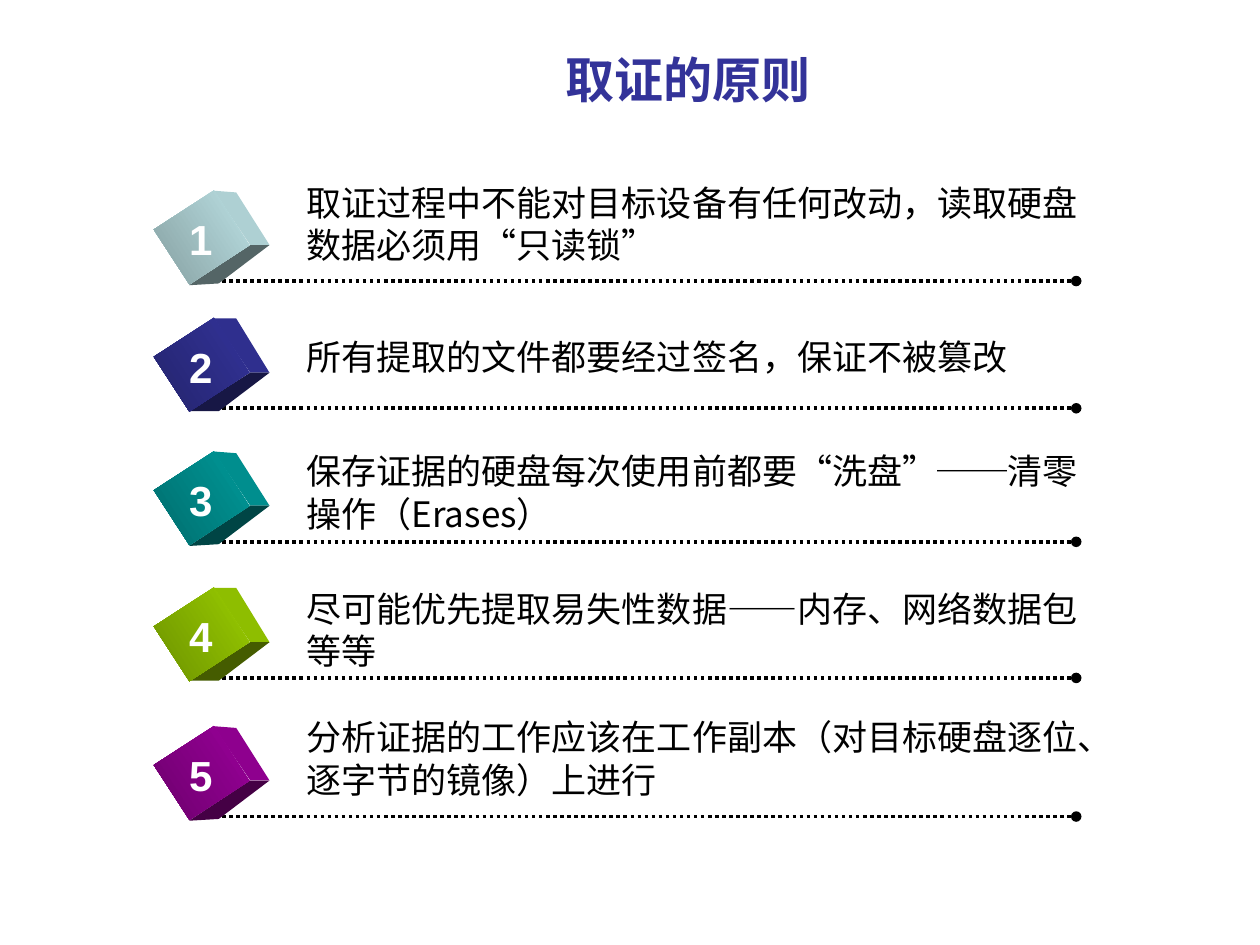
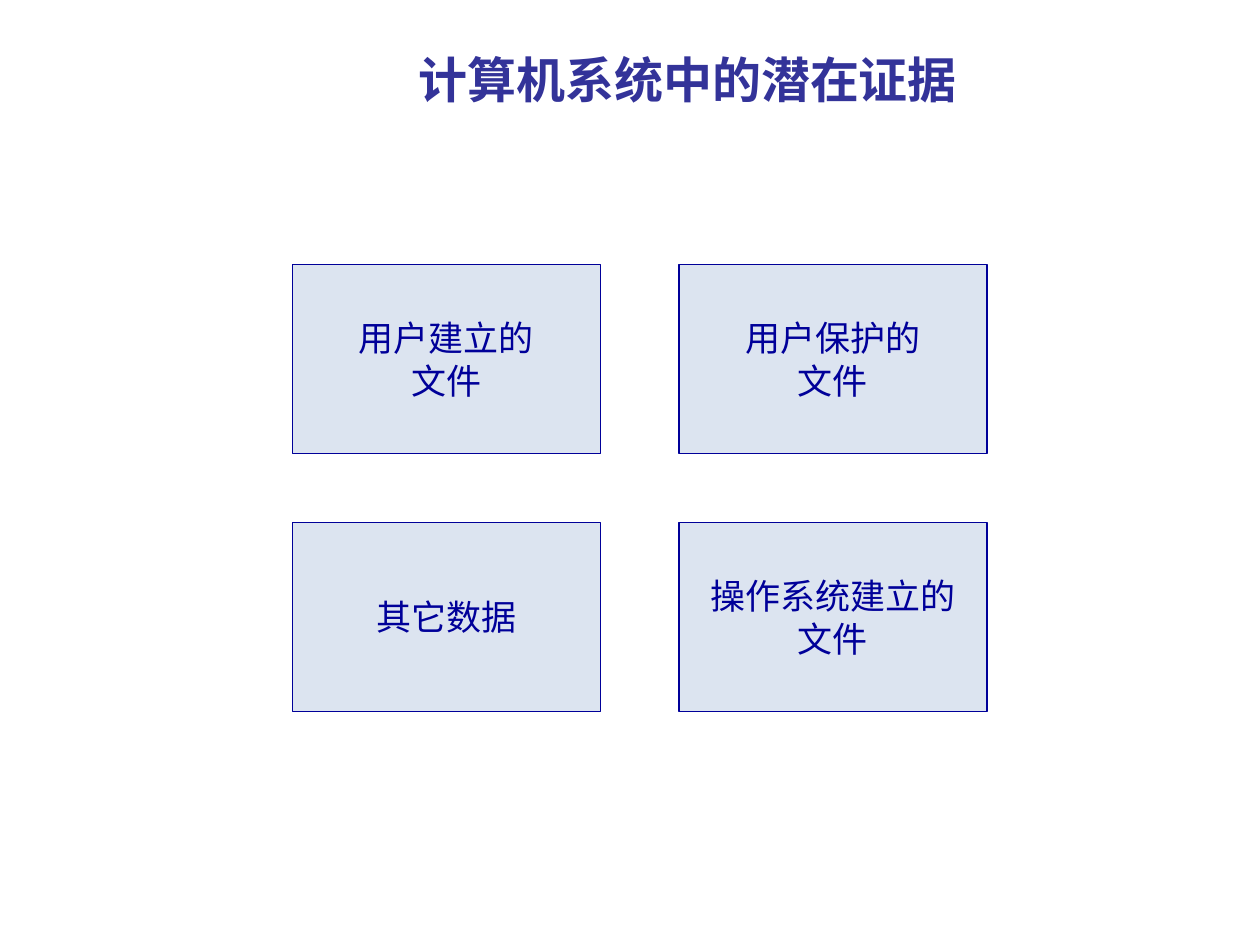
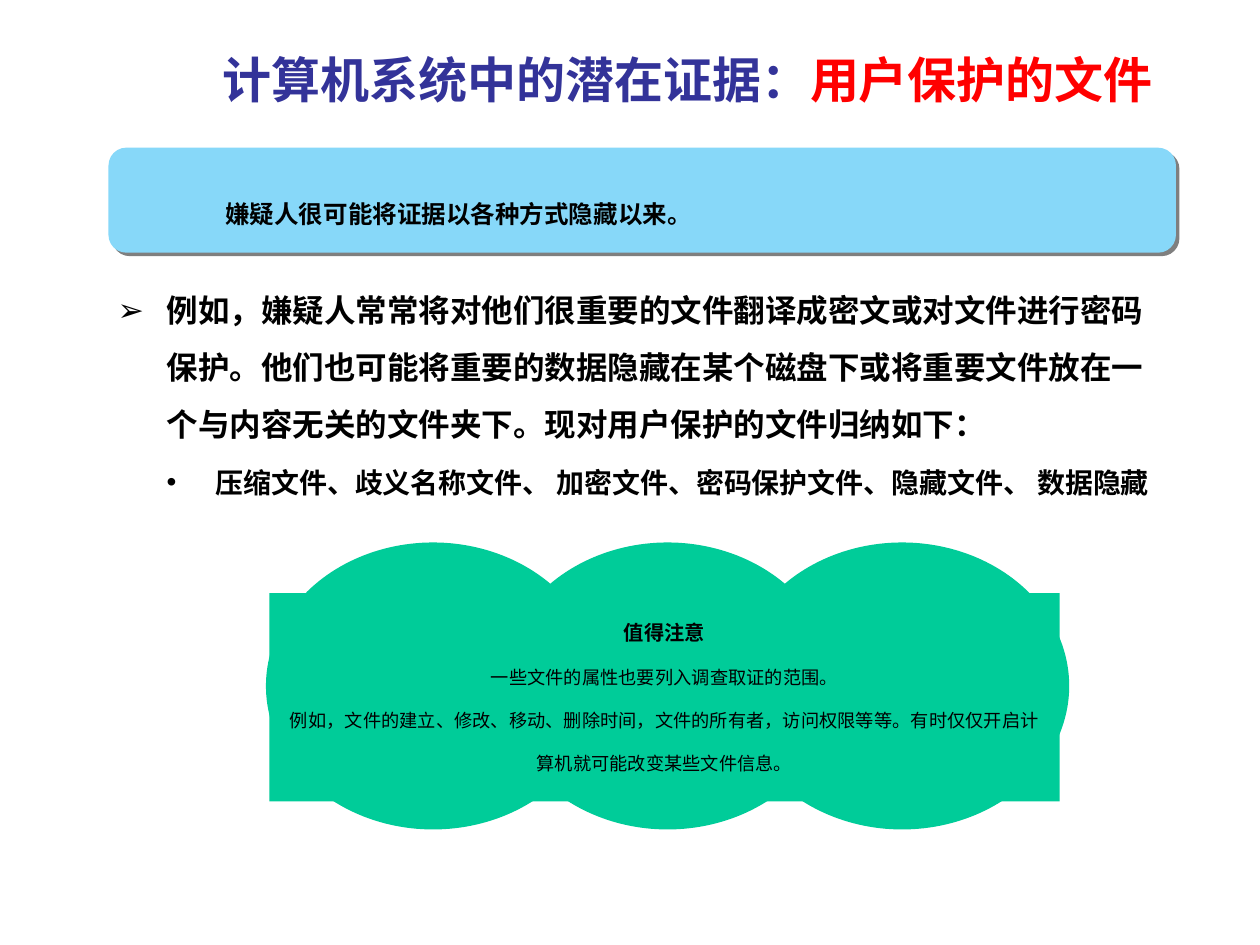
from pptx import Presentation
from pptx.dml.color import RGBColor
from pptx.enum.dml import MSO_LINE
from pptx.enum.shapes import MSO_CONNECTOR, MSO_SHAPE
from pptx.enum.text import MSO_ANCHOR, MSO_AUTO_SIZE, PP_ALIGN
from pptx.oxml import parse_xml
from pptx.oxml.ns import nsdecls, qn
from pptx.util import Pt
from lxml.etree import SubElement
from math import cos, radians, sin

CHINESE_FONT = "Noto Sans CJK SC"
TITLE_COLOR = "333399"
BLACK = "000000"
WHITE = "FFFFFF"
RED = "FF0000"
BOX_FILL = "DCE4F0"
BOX_LINE = "000099"
BANNER_FILL = "87D8F9"
CLOUD_FILL = "00CC99"

CUBE_WIDTH, CUBE_HEIGHT, CUBE_ROTATION = 37.4, 41, 57
CUBE_CENTER_X = 115.2

PRINCIPLES = [
    (160.6, 100, 458, "BBE0E3", "86A0A2", "取证过程中不能对目标设备有任何改动，读取硬盘数据必须用“只读锁”"),
    (233.3, 188, 458, "333399", "24246D", "所有提取的文件都要经过签名，保证不被篡改"),
    (309.6, 253.4, 458, "009999", "006D6D", "保存证据的硬盘每次使用前都要“洗盘”──清零操作（Erases）"),
    (387.4, 332, 464, "99CC00", "6D9200", "尽可能优先提取易失性数据——内存、网络数据包等等"),
    (466.6, 405.4, 475, "990099", "6D006D", "分析证据的工作应该在工作副本（对目标硬盘逐位、逐字节的镜像）上进行"),
]
EVIDENCE_GRID = [
    [["用户建立的", "文件"], ["用户保护的", "文件"]],
    [["其它数据"], ["操作系统建立的", "文件"]],
]


def color(value):
    return RGBColor.from_string(value)


def shade(value, factor):
    channels = bytes.fromhex(value)
    return "".join(f"{round(channel * factor):02X}" for channel in channels)


def shadow_effect(value, alpha, distance):
    return parse_xml(
        f'<a:outerShdw {nsdecls("a")} dist="{Pt(distance)}" dir="2700000">'
        f'<a:srgbClr val="{value}"><a:alpha val="{alpha * 1000}"/></a:srgbClr></a:outerShdw>'
    )


def write(frame, text, size=20, fill=BLACK, font=CHINESE_FONT, bold=False, align=None,
          line_height=None, before=None, bullet=None, level=0, shadow=False, paragraph=None):
    if paragraph is None:
        paragraph = frame.add_paragraph() if frame.text else frame.paragraphs[0]
        paragraph.level = level
        if bullet:
            properties = paragraph._p.get_or_add_pPr()
            properties.set("marL", str(Pt(28 * (level + 1))))
            properties.set("indent", str(-Pt(28)))
            SubElement(properties, qn("a:buFont"), typeface="Arial")
            SubElement(properties, qn("a:buChar"), char=bullet)
        paragraph.alignment = align
        if line_height:
            paragraph.line_spacing = Pt(line_height)
        if before is not None:
            paragraph.space_before = Pt(before)
    run = paragraph.add_run()
    run.text = text
    run.font.size = Pt(size)
    run.font.bold = bold
    run.font.color.rgb = color(fill)
    properties = run._r.get_or_add_rPr()
    if shadow:
        SubElement(properties, qn("a:effectLst")).append(shadow_effect("C0C0C0", 100, 1.5))
    run.font.name = font
    SubElement(properties, qn("a:ea"), typeface=CHINESE_FONT)
    return paragraph


def add_slide(presentation, layout, *title_parts):
    slide = presentation.slides.add_slide(presentation.slide_layouts[layout])
    title = slide.shapes.title
    title.left, title.top, title.width, title.height = Pt(114), Pt(18), Pt(558), Pt(54)
    title.text_frame.vertical_anchor = MSO_ANCHOR.MIDDLE
    paragraph = None
    for text, fill in title_parts:
        paragraph = write(title.text_frame, text, size=28, fill=fill, font="Times New Roman",
                          bold=True, align=PP_ALIGN.CENTER, shadow=True, paragraph=paragraph)
    return slide


def add_box(slide, kind, left, top, width, height, fill, line=None):
    shape = slide.shapes.add_shape(kind, Pt(left), Pt(top), Pt(width), Pt(height))
    shape.shadow.inherit = False
    shape.fill.solid()
    shape.fill.fore_color.rgb = color(fill)
    if line:
        shape.line.color.rgb = color(line)
        shape.line.width = Pt(0.75)
    else:
        shape.line.fill.background()
    shape.text_frame.word_wrap = True
    return shape


def add_label(slide, left, top, width, height, text, wrap=True, **style):
    frame = slide.shapes.add_textbox(Pt(left), Pt(top), Pt(width), Pt(height)).text_frame
    frame.word_wrap = wrap
    write(frame, text, **style)


def add_dotted_line(slide, y):
    line = slide.shapes.add_connector(MSO_CONNECTOR.STRAIGHT, Pt(118.8), Pt(y), Pt(615), Pt(y))
    line.line.color.rgb = color(BLACK)
    line.line.width = Pt(2)
    line.line.dash_style = MSO_LINE.ROUND_DOT
    SubElement(line.line._get_or_add_ln(), qn("a:tailEnd"), type="oval")
    SubElement(line._element.spPr, qn("a:effectLst"))


def add_face(slide, points, fill):
    builder = slide.shapes.build_freeform(*points[0], scale=Pt(1))
    builder.add_line_segments(points[1:], close=True)
    face = builder.convert_to_shape()
    face.shadow.inherit = False
    face.fill.solid()
    face.fill.fore_color.rgb = color(fill)
    face.line.fill.background()


def add_cube(slide, center_y, light, dark):
    angle = radians(CUBE_ROTATION)

    def corner(side_x, side_y):
        x, y = side_x * CUBE_WIDTH / 2, side_y * CUBE_HEIGHT / 2
        return (CUBE_CENTER_X + x * cos(angle) - y * sin(angle),
                center_y + x * sin(angle) + y * cos(angle))

    upper, right, lower = corner(-1, -1), corner(1, -1), corner(1, 1)
    back_upper = (135.4, center_y - 26)
    back_right = (153.7, center_y + 4.3)
    back_lower = (124.6, center_y + 26.6)
    add_face(slide, [upper, back_upper, back_right, right], shade(light, 0.93))
    add_face(slide, [right, back_right, back_lower, lower], shade(light, 0.45))
    front = add_box(slide, MSO_SHAPE.RECTANGLE, CUBE_CENTER_X - CUBE_WIDTH / 2,
                    center_y - CUBE_HEIGHT / 2, CUBE_WIDTH, CUBE_HEIGHT, light)
    front.rotation = CUBE_ROTATION
    front.fill.gradient()
    front.fill.gradient_angle = 270
    for stop, position, value in zip(front.fill.gradient_stops, (0, 1), (light, dark)):
        stop.position = position
        stop.color.rgb = color(value)


def add_principle(slide, number, line_y, text_top, text_width, light, dark, text):
    center_y = line_y - 24.9
    add_dotted_line(slide, line_y)
    add_cube(slide, center_y, light, dark)
    add_label(slide, 100.8, center_y - 17, 28, 36, str(number), wrap=False, size=24,
              fill=WHITE, font="Arial", bold=True, align=PP_ALIGN.CENTER)
    add_label(slide, 168, text_top, text_width, 55, text, line_height=24.2)


def add_evidence_box(slide, row, column, lines):
    box = add_box(slide, MSO_SHAPE.RECTANGLE, 167 + column * 221, 151 + row * 147.5,
                  176, 108, BOX_FILL, BOX_LINE)
    box.text_frame.vertical_anchor = MSO_ANCHOR.MIDDLE
    for line in lines:
        write(box.text_frame, line, fill=BOX_LINE, align=PP_ALIGN.CENTER, line_height=24.2)


def add_banner(slide, text):
    banner = add_box(slide, MSO_SHAPE.ROUNDED_RECTANGLE, 62, 84.4, 610, 60, BANNER_FILL)
    banner.adjustments[0] = 0.17
    effects = banner._element.spPr.find(qn("a:effectLst"))
    effects.append(shadow_effect(BLACK, 50, 2.8))
    add_label(slide, 121.7, 92, 475, 42, text, size=14, bold=True, line_height=35)


def fill_body(slide, items):
    body = slide.placeholders[1]
    body.left, body.top, body.width, body.height = Pt(60), Pt(152), Pt(617), Pt(204)
    body.text_frame.auto_size = MSO_AUTO_SIZE.NONE
    for level, (bullet, size, before, text) in enumerate(items):
        write(body.text_frame, text, size=size, font="Arial", bold=True, bullet=bullet,
              level=level, before=before, line_height=size * 1.8)


def add_cloud(slide, heading, lines):
    for index in range(3):
        add_box(slide, MSO_SHAPE.OVAL, 152 + index * 134, 310, 191, 164, CLOUD_FILL)
    panel = add_box(slide, MSO_SHAPE.RECTANGLE, 154, 339, 451.5, 119, CLOUD_FILL)
    panel.text_frame.vertical_anchor = MSO_ANCHOR.TOP
    write(panel.text_frame, heading, size=11.6, bold=True, align=PP_ALIGN.CENTER, line_height=26)
    for line in lines:
        write(panel.text_frame, line, size=10.4, align=PP_ALIGN.CENTER, line_height=24.6)


def main():
    presentation = Presentation()
    presentation.slide_width, presentation.slide_height = Pt(720), Pt(540)

    principles = add_slide(presentation, 5, ("取证的原则", TITLE_COLOR))
    for number, principle in enumerate(PRINCIPLES, 1):
        add_principle(principles, number, *principle)

    evidence = add_slide(presentation, 5, ("计算机系统中的潜在证据", TITLE_COLOR))
    for row, boxes in enumerate(EVIDENCE_GRID):
        for column, lines in enumerate(boxes):
            add_evidence_box(evidence, row, column, lines)

    protected = add_slide(presentation, 1, ("计算机系统中的潜在证据：", TITLE_COLOR),
                          ("用户保护的文件", RED))
    fill_body(protected, [
        ("➢", 18, 0, "例如，嫌疑人常常将对他们很重要的文件翻译成密文或对文件进行密码保护。"
         "他们也可能将重要的数据隐藏在某个磁盘下或将重要文件放在一个与内容无关的文件夹下。"
         "现对用户保护的文件归纳如下："),
        ("•", 16, 3.6, "压缩文件、歧义名称文件、 加密文件、密码保护文件、隐藏文件、 数据隐藏"),
    ])
    add_cloud(protected, "值得注意", [
        "一些文件的属性也要列入调查取证的范围。",
        "例如，文件的建立、修改、移动、删除时间，文件的所有者，访问权限等等。"
        "有时仅仅开启计算机就可能改变某些文件信息。",
    ])
    add_banner(protected, "嫌疑人很可能将证据以各种方式隐藏以来。")

    presentation.save("out.pptx")


if __name__ == "__main__":
    main()
